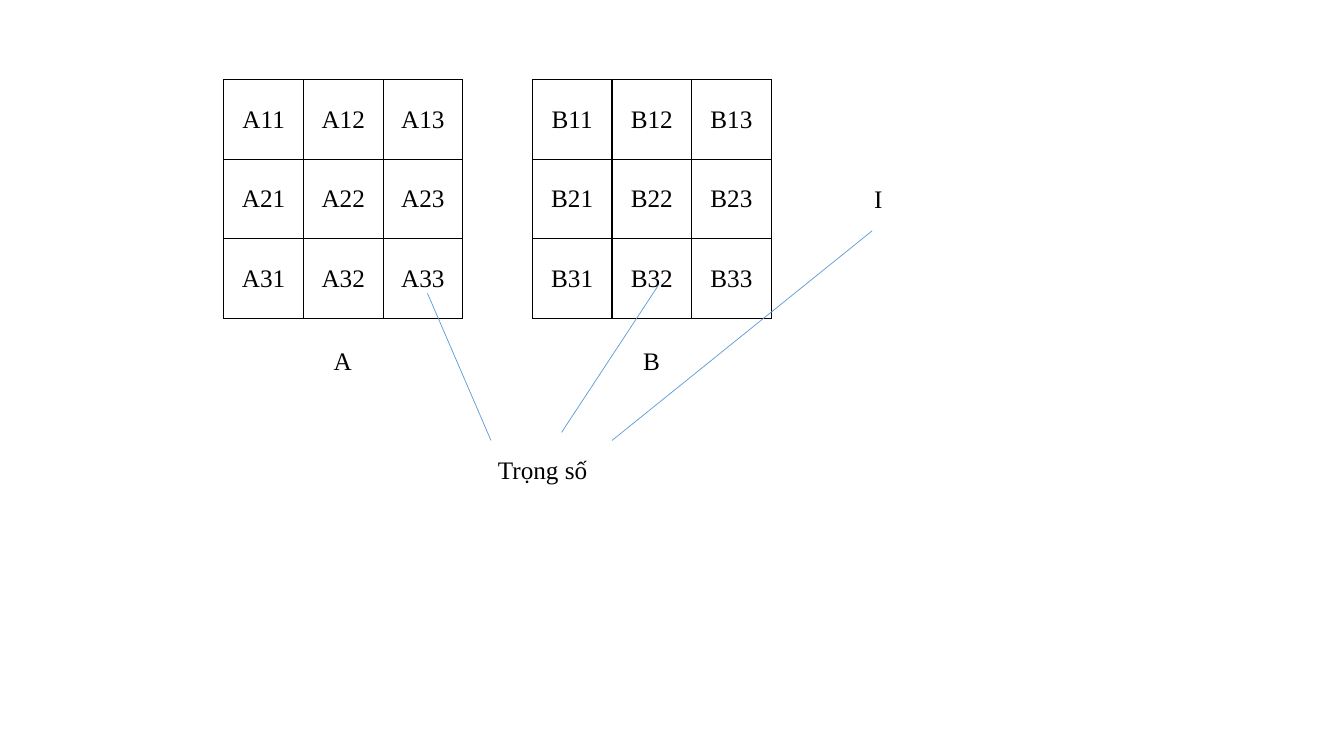
import pptx
import pptx.dml.color
import pptx.enum.shapes
import pptx.enum.text
import pptx.oxml
import pptx.oxml.ns
import pptx.util
from lxml import etree

Inches = pptx.util.Inches
Pt = pptx.util.Pt
qn = pptx.oxml.ns.qn


def color(hex_string):
    return pptx.dml.color.RGBColor.from_string(hex_string)


class SlideBuilder:
    FONT = "Times New Roman"
    SIZE = 18
    INK = "000000"
    PAPER = "FFFFFF"
    LINE = "5B9BD5"
    CELL = 0.79

    def __init__(self, slide):
        self.slide = slide

    def style_text(self, paragraph):
        for run in paragraph.runs:
            run.font.name = self.FONT
            run.font.size = Pt(self.SIZE)
            run.font.color.rgb = color(self.INK)

    def border_cell(self, cell):
        properties = cell._tc.get_or_add_tcPr()
        for position, side in enumerate(("lnL", "lnR", "lnT", "lnB")):
            border = etree.Element(qn(f"a:{side}"), w=str(Pt(1)))
            fill = etree.SubElement(border, qn("a:solidFill"))
            etree.SubElement(fill, qn("a:srgbClr"), val=self.INK)
            properties.insert(position, border)

    def matrix(self, letter, left, top, count=3):
        side = Inches(self.CELL * count)
        frame = self.slide.shapes.add_table(
            count, count, Inches(left), Inches(top), side, side)
        table = frame.table
        table.first_row = False
        table.horz_banding = False
        for line in (*table.columns, *table.rows):
            if line in tuple(table.columns):
                line.width = Inches(self.CELL)
        for column in table.columns:
            column.width = Inches(self.CELL)
        for row_number, row in enumerate(table.rows, 1):
            row.height = Inches(self.CELL)
            for column_number, cell in enumerate(row.cells, 1):
                cell.text_frame.text = f"{letter}{row_number}{column_number}"
                cell.vertical_anchor = pptx.enum.text.MSO_ANCHOR.MIDDLE
                paragraph = cell.text_frame.paragraphs[0]
                paragraph.alignment = pptx.enum.text.PP_ALIGN.CENTER
                self.style_text(paragraph)
                cell.fill.solid()
                cell.fill.fore_color.rgb = color(self.PAPER)
                self.border_cell(cell)

    def label(self, text, left, top, width, height=0.4):
        shape = self.slide.shapes.add_textbox(
            Inches(left), Inches(top), Inches(width), Inches(height))
        frame = shape.text_frame
        frame.text = text
        frame.word_wrap = False
        frame.auto_size = pptx.enum.text.MSO_AUTO_SIZE.SHAPE_TO_FIT_TEXT
        self.style_text(frame.paragraphs[0])

    def line(self, start, end):
        connector = self.slide.shapes.add_connector(
            pptx.enum.shapes.MSO_CONNECTOR.STRAIGHT,
            *(Inches(value) for value in (*start, *end)))
        connector.line.color.rgb = color(self.LINE)
        connector.line.width = Pt(0.5)
        etree.SubElement(connector._element.spPr, qn("a:effectLst"))


def main():
    presentation = pptx.Presentation()
    presentation.slide_width = Inches(13.33)
    presentation.slide_height = Inches(7.5)
    blank_layout = presentation.slide_layouts[6]
    builder = SlideBuilder(presentation.slides.add_slide(blank_layout))

    # Matrices
    for letter, left in (("A", 2.22), ("B", 5.28)):
        builder.matrix(letter, left, 0.79)

    # Matrix names
    builder.label("I", 8.57, 1.77, 0.29)
    builder.label("A", 3.21, 3.38, 0.38)
    builder.label("B", 6.28, 3.38, 0.37)

    # Lines from the matrices to the weights
    for start, end in (
        ((4.24, 2.91), (4.87, 4.37)),
        ((6.53, 2.83), (5.57, 4.29)),
        ((8.65, 2.29), (6.07, 4.37)),
    ):
        builder.line(start, end)
    builder.label("Trọng số", 4.84, 4.46, 1.1)

    presentation.save("out.pptx")


if __name__ == "__main__":
    main()
